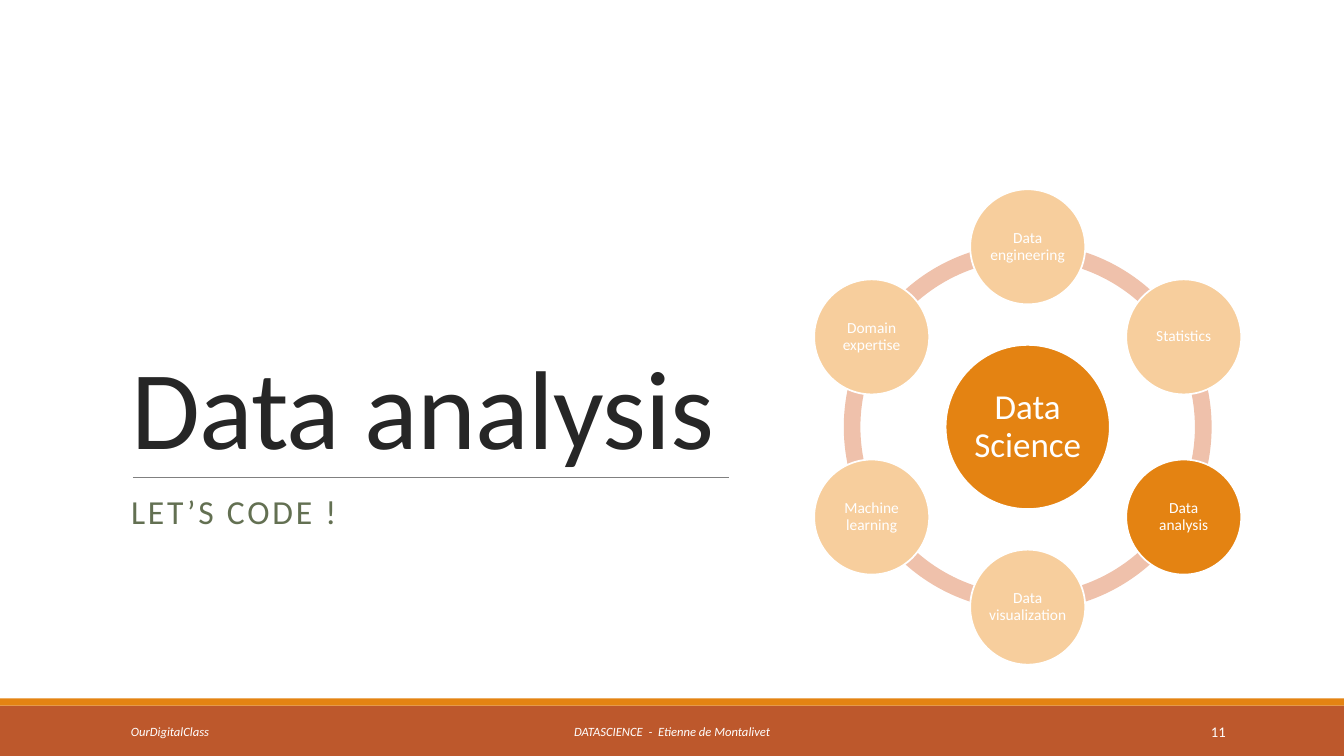
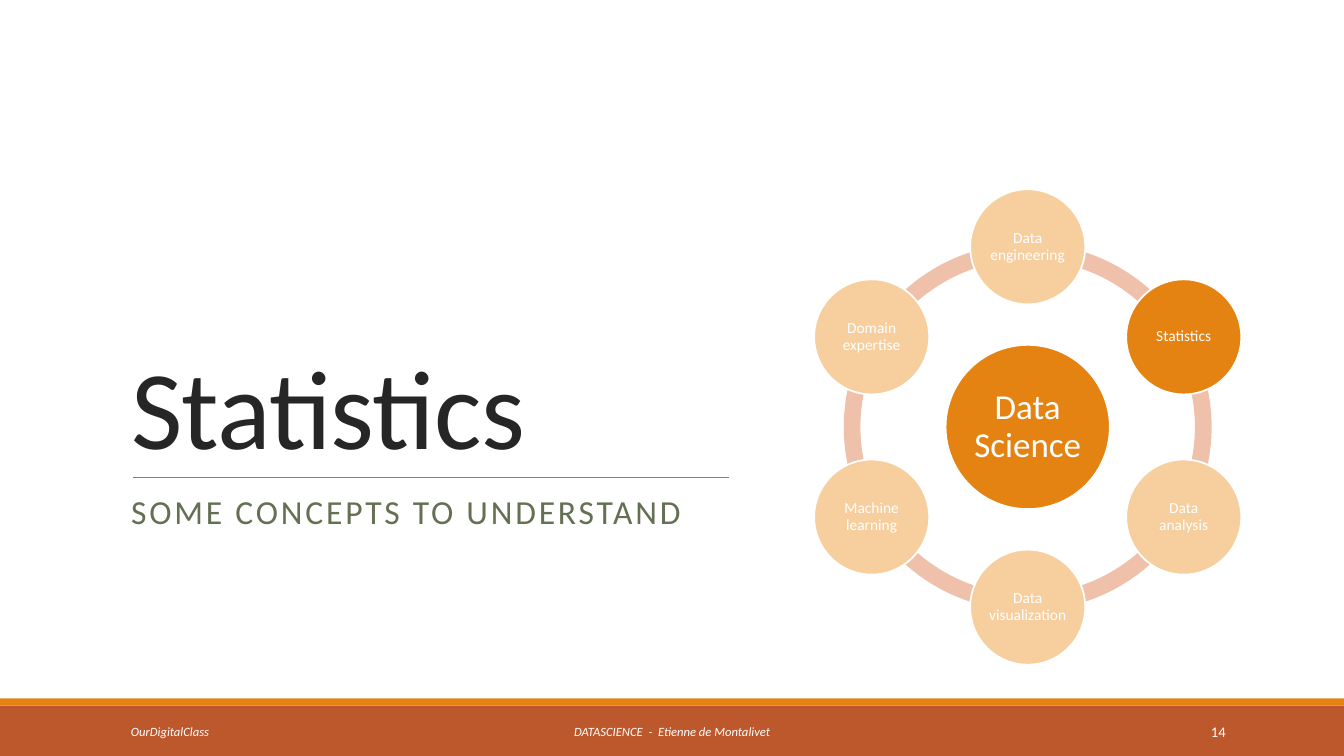
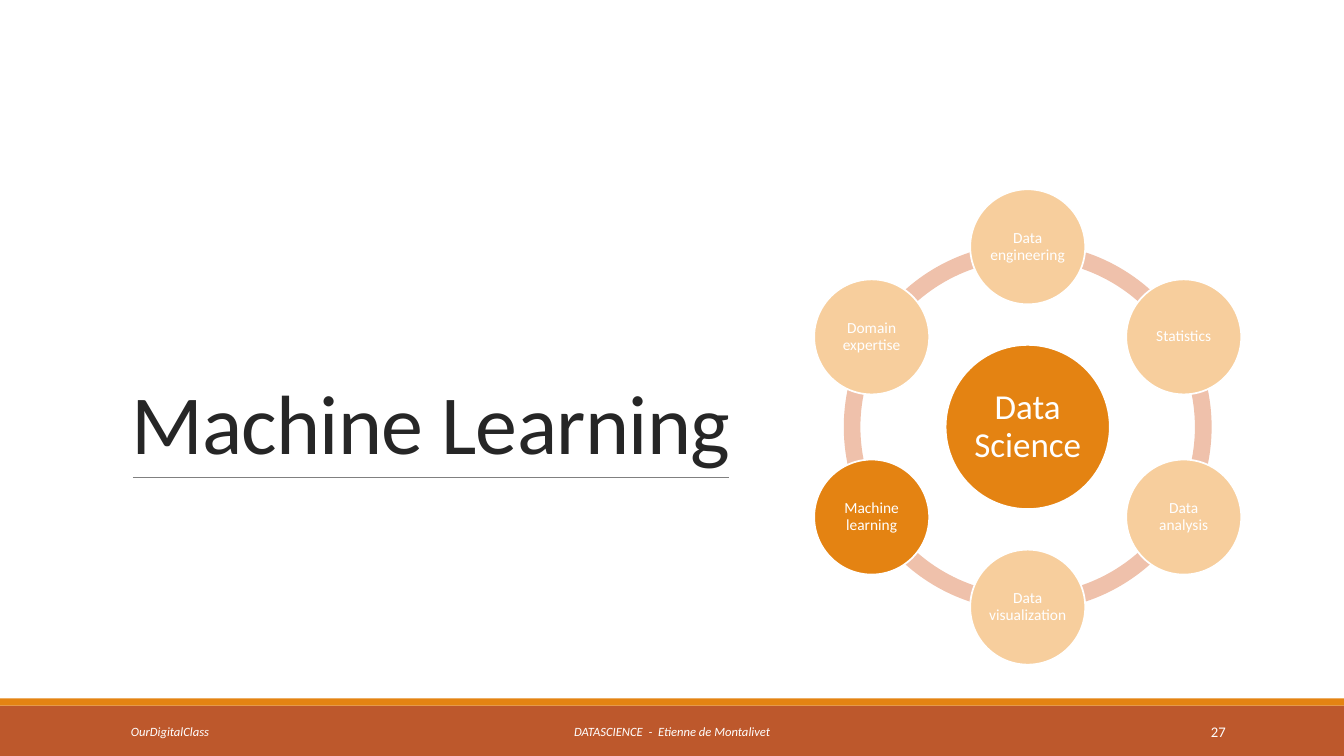
import math
import pptx
import pptx.util
import pptx.dml.color
import pptx.enum.shapes
import pptx.enum.text
import pptx.oxml
import pptx.oxml.ns

SLIDES = [
    {"title": "Data analysis", "sub": "LET’S CODE !", "size": 80, "topic": "Data analysis", "page": "11"},
    {"title": "Statistics", "sub": "SOME CONCEPTS TO UNDERSTAND", "size": 80, "topic": "Statistics", "page": "14"},
    {"title": "Machine Learning", "sub": None, "size": 60, "topic": "Machine learning", "page": "27"},
]
HUB = "Data Science"
TOPICS = ["Data engineering", "Statistics", "Data analysis",
          "Data visualization", "Machine learning", "Domain expertise"]
SCHOOL = "OurDigitalClass"
COURSE = "DATASCIENCE  -  Etienne de Montalivet"

FONT = "Calibri"
COLORS = {"bar": "BD582C", "accent": "E48312", "pale": "F7CE9D", "ring": "EFC1AB",
          "title": "262626", "sub": "637052", "rule": "808080", "white": "FFFFFF"}

Cm, Pt = pptx.util.Cm, pptx.util.Pt
KIND = pptx.enum.shapes.MSO_SHAPE
ALIGN = pptx.enum.text.PP_ALIGN
ANCHOR = pptx.enum.text.MSO_ANCHOR

WIDE, HIGH = 33.87, 19.05
LEFT, SPAN = 3.05, 27.94
MID_X, MID_Y = 25.9, 10.76
ORBIT, RING, BAND = 4.54, 9.27, 0.42
HUB_D, NODE_D = 4.14, 2.9


def color(name):
    return pptx.dml.color.RGBColor.from_string(COLORS[name])


def place(shape, left, top, width, height):
    shape.left, shape.top = Cm(left), Cm(top)
    shape.width, shape.height = Cm(width), Cm(height)


def write(shape, text, size, ink="white", italic=False, align=ALIGN.LEFT,
          anchor=ANCHOR.MIDDLE, line=1.0, after=0, track=0, inset=None):
    frame = shape.text_frame
    frame.word_wrap = True
    frame.auto_size = pptx.enum.text.MSO_AUTO_SIZE.NONE
    frame.vertical_anchor = anchor
    if inset is not None:
        frame.margin_left = frame.margin_right = Cm(inset)
        frame.margin_top = frame.margin_bottom = Cm(inset)
    para = frame.paragraphs[0]
    para.alignment = align
    para.line_spacing = line
    para.space_before = Pt(0)
    para.space_after = Pt(after)
    run = para.add_run()
    run.text = text
    font = run.font
    font.name, font.size = FONT, Pt(size)
    font.bold, font.italic = False, italic
    font.color.rgb = color(ink)
    if track:
        run._r.get_or_add_rPr().set("spc", str(round(track * 100)))


def draw(slide, kind, box, fill, edge=None):
    shape = slide.shapes.add_shape(kind, *map(Cm, box))
    shape.shadow.inherit = False
    shape.fill.solid()
    shape.fill.fore_color.rgb = color(fill)
    if edge:
        shape.line.color.rgb = color(edge)
        shape.line.width = Pt(1.25)
    else:
        shape.line.fill.background()
    return shape


def disc(x, y, size):
    return x - size / 2, y - size / 2, size, size


def dress(slide, layout):
    bar = draw(slide, KIND.RECTANGLE, (0, 17.78, WIDE, 1.27), "bar")
    stripe = draw(slide, KIND.RECTANGLE, (0, 17.6, WIDE, 0.18), "accent")
    rule = slide.shapes.add_connector(pptx.enum.shapes.MSO_CONNECTOR.STRAIGHT,
                                      Cm(3.35), Cm(12.04), Cm(18.36), Cm(12.04))
    rule.line.color.rgb = color("rule")
    rule.line.width = Pt(0.5)
    props = rule.element.find(pptx.oxml.ns.qn("p:spPr"))
    props.append(pptx.oxml.parse_xml("<a:effectLst %s/>" % pptx.oxml.ns.nsdecls("a")))
    for shape in (bar, stripe, rule):
        layout.shapes.element.append(shape.element)


def foot(slide, page):
    for text, left, width, size, italic, align in (
            (SCHOOL, LEFT, 6.86, 9, True, ALIGN.LEFT),
            (COURSE, 10.24, 13.39, 9, True, ALIGN.CENTER),
            (page, 27.51, 3.63, 10.5, False, ALIGN.RIGHT)):
        box = slide.shapes.add_textbox(Cm(left), Cm(17.93), Cm(width), Cm(1.02))
        write(box, text, size, italic=italic, align=align)


def wheel(slide, topic):
    ring = draw(slide, KIND.DONUT, disc(MID_X, MID_Y, RING), "ring")
    ring.adjustments[0] = BAND / RING
    hub = draw(slide, KIND.OVAL, disc(MID_X, MID_Y, HUB_D), "accent", "white")
    write(hub, HUB, 25, align=ALIGN.CENTER, line=0.9, inset=0.08)
    for i, name in enumerate(TOPICS):
        turn = math.tau * i / len(TOPICS)
        x, y = MID_X + ORBIT * math.sin(turn), MID_Y - ORBIT * math.cos(turn)
        fill = "accent" if name == topic else "pale"
        node = draw(slide, KIND.OVAL, disc(x, y, NODE_D), fill, "white")
        write(node, name, 11, align=ALIGN.CENTER, line=0.9, inset=0.04)


def main():
    deck = pptx.Presentation()
    deck.slide_width, deck.slide_height = Cm(WIDE), Cm(HIGH)
    layout = deck.slide_layouts[0]
    for i, item in enumerate(SLIDES):
        slide = deck.slides.add_slide(layout)
        if i == 0:
            dress(slide, layout)
        title, sub = slide.shapes.title, slide.placeholders[1]
        place(title, LEFT, 2.11, SPAN, 9.91)
        write(title, item["title"], item["size"], "title",
              anchor=ANCHOR.BOTTOM, line=0.85, track=-0.5)
        if item["sub"]:
            place(sub, LEFT, 12.37, SPAN, 3.18)
            write(sub, item["sub"], 24, "sub", anchor=ANCHOR.TOP,
                  line=0.9, after=6, track=2)
        else:
            sub.element.getparent().remove(sub.element)
        foot(slide, item["page"])
        wheel(slide, item["topic"])
    deck.save("out.pptx")


if __name__ == "__main__":
    main()
